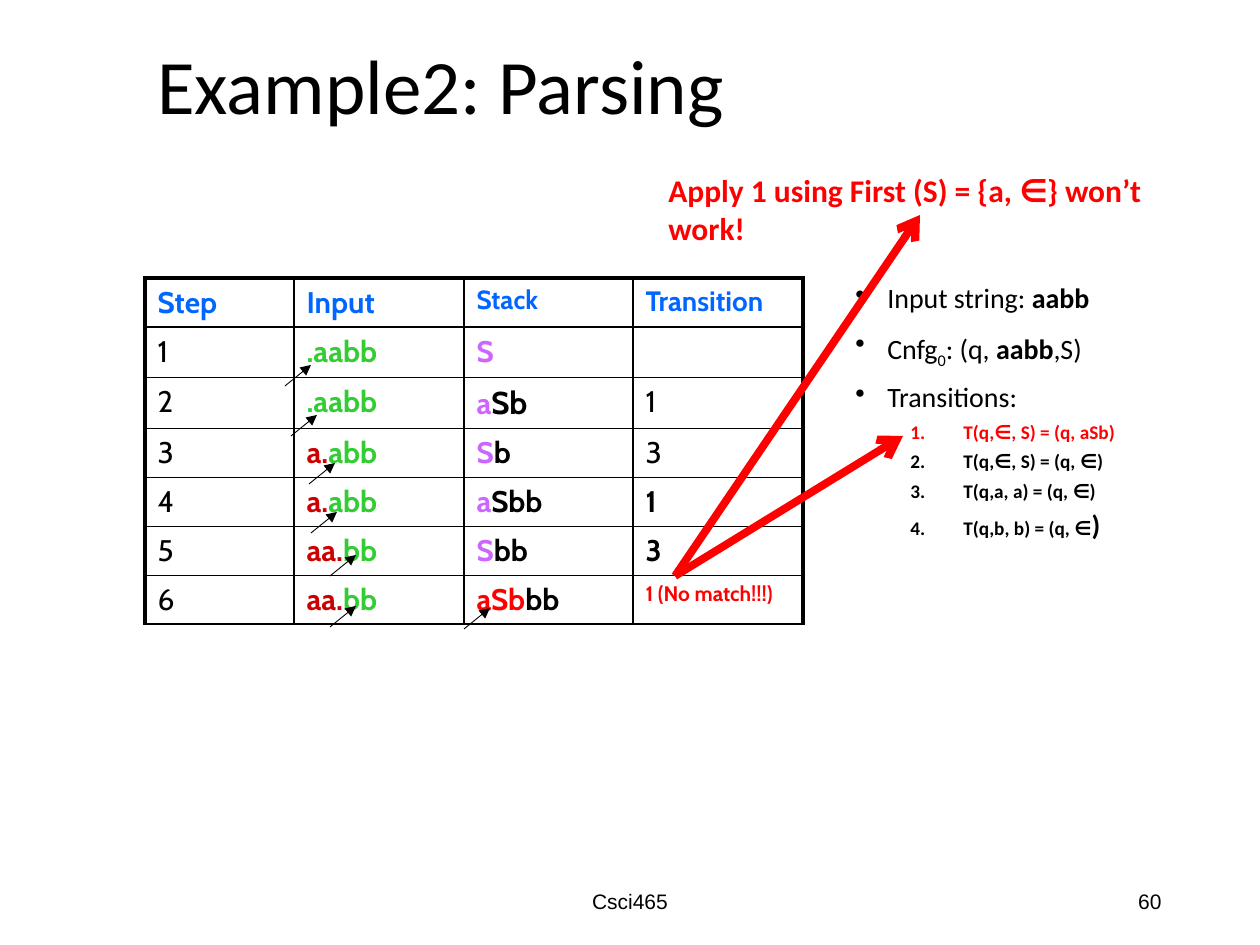
from lxml.etree import SubElement
from pptx import Presentation
from pptx.dml.color import RGBColor
from pptx.enum.shapes import MSO_CONNECTOR as CONNECTOR
from pptx.enum.text import MSO_ANCHOR as ANCHOR, PP_ALIGN as ALIGN
from pptx.oxml.ns import qn
from pptx.util import Pt

EMU_PER_PX = 7257.6
BLACK, WHITE, RED = "000000", "FFFFFF", "FF0000"
BLUE, GREEN, PURPLE, CRIMSON = "0066FF", "33CC33", "CC66FF", "CC0000"

TITLE = "Example2: Parsing"
WARNING = "Apply 1 using First (S) = {a, ∈} won’t work!"
FOOTER, PAGE = "Csci465", "60"

# Each run is (text, size, colour, bold).
HEADINGS = [("Step", 17), ("Input", 17), ("Stack", 15), ("Transition", 16)]
STEPS = [
    ([(".aabb", GREEN)], [("S", PURPLE)], ("", 17, BLACK, False)),
    ([(".aabb", GREEN)], [("a", PURPLE), ("Sb", BLACK, 18)], ("1", 17, BLACK, False)),
    ([("a.", CRIMSON), ("abb", GREEN)], [("S", PURPLE), ("b", BLACK)], ("3", 17, BLACK, False)),
    ([("a.", CRIMSON), ("abb", GREEN)], [("a", PURPLE), ("Sbb", BLACK)], ("1", 17, BLACK, True)),
    ([("aa.", CRIMSON), ("bb", GREEN)], [("S", PURPLE), ("bb", BLACK)], ("3", 17, BLACK, True)),
    ([("aa.", CRIMSON), ("bb", GREEN)], [("aSb", RED), ("bb", BLACK)],
     ("1 (No match!!!)", 12, RED, True)),
]
COLUMN_WIDTHS = [149, 170, 169, 170]
ROW_HEIGHTS = [49, 49, 51, 49, 49, 49, 49]

BULLETS = [
    [("Input string: ", False), ("aabb", True)],
    [("Cnfg", False), ("0", False), (": (q, ", False), ("aabb", True), (",S)", False)],
    [("Transitions:", False)],
]
SUBSCRIPT = "0"
TRANSITIONS = [
    [("T(q,∈, S) = (q, aSb)", 11, RED, True)],
    [("T(q,∈, S) = (q, ∈)", 11, BLACK, True)],
    [("T(q,a, a) = (q, ∈)", 11, BLACK, True)],
    [("T(q,b, b) = (q, ∈", 11, BLACK, True), (")", 16, BLACK, True)],
]

POINTER_STARTS = [(285, 386), (311, 533), (309, 484), (330, 576),
                  (330, 627), (291, 436), (464, 629)]
POINTER_STEP = (26, -21)
MISMATCH = (675, 576)
MISMATCH_TARGETS = [(920, 215), (903, 436)]


def px(length):
    return round(length * EMU_PER_PX)


def color(value):
    return RGBColor.from_string(value)


def add_runs(paragraph, runs, font):
    for text, size, shade, bold in runs:
        run = paragraph.add_run()
        run.text = text
        run.font.name = font
        run.font.size = Pt(size)
        run.font.bold = bold
        run.font.color.rgb = color(shade)


def add_text(slide, box, runs, font="Calibri", anchor=ANCHOR.TOP, align=ALIGN.LEFT):
    frame = slide.shapes.add_textbox(*map(px, box)).text_frame
    frame.word_wrap = True
    frame.vertical_anchor = anchor
    paragraph = frame.paragraphs[0]
    paragraph.alignment = align
    add_runs(paragraph, runs, font)
    return frame


def add_list_item(frame, runs, first, margin, indent, space, tag, attributes):
    paragraph = frame.paragraphs[0] if first else frame.add_paragraph()
    properties = paragraph._p.get_or_add_pPr()
    properties.set("marL", str(px(margin)))
    properties.set("indent", str(px(-indent)))
    SubElement(properties, qn(tag), attributes)
    paragraph.line_spacing = 0.9
    paragraph.space_before = Pt(0 if first else space)
    add_runs(paragraph, runs, "Calibri")
    return paragraph


def add_notes_list(slide):
    frame = slide.shapes.add_textbox(*map(px, (843, 278, 417, 350))).text_frame
    frame.word_wrap = True
    for index, parts in enumerate(BULLETS):
        runs = [(text, 16, BLACK, bold) for text, bold in parts]
        paragraph = add_list_item(frame, runs, index == 0, 32, 32, 10, "a:buChar", {"char": "•"})
        for run in paragraph.runs:
            if run.text == SUBSCRIPT:
                run._r.get_or_add_rPr().set("baseline", "-25000")
    for runs in TRANSITIONS:
        paragraph = add_list_item(frame, runs, False, 108, 53, 5,
                                  "a:buAutoNum", {"type": "arabicPeriod"})
        paragraph.level = 1


def set_border(cell, side, width):
    line = SubElement(cell._tc.get_or_add_tcPr(), qn(f"a:ln{side}"), w=str(Pt(width)))
    fill = SubElement(line, qn("a:solidFill"))
    SubElement(fill, qn("a:srgbClr"), val=BLACK)


def add_parse_table(slide):
    rows = [[[(text, size, BLUE, True)] for text, size in HEADINGS]]
    for number, (source, stack, transition) in enumerate(STEPS, 1):
        colored = [[(text, *(size or [17]), shade, True) for text, shade, *size in runs]
                   for runs in (source, stack)]
        rows.append([[(str(number), 17, BLACK, False)], *colored, [transition]])
    box = (145, 278, sum(COLUMN_WIDTHS), sum(ROW_HEIGHTS))
    table = slide.shapes.add_table(len(rows), len(HEADINGS), *map(px, box)).table
    for column, width in zip(table.columns, COLUMN_WIDTHS):
        column.width = px(width)
    last = len(HEADINGS) - 1
    for r, (cells, height) in enumerate(zip(rows, ROW_HEIGHTS)):
        table.rows[r].height = px(height)
        for c, runs in enumerate(cells):
            cell = table.cell(r, c)
            for side, outer in (("L", c == 0), ("R", c == last), ("T", r == 0), ("B", False)):
                set_border(cell, side, 2.25 if outer else 1)
            cell.fill.solid()
            cell.fill.fore_color.rgb = color(WHITE)
            add_runs(cell.text_frame.paragraphs[0], runs, "Cabin")


def add_arrow(slide, start, end, shade, width, head):
    connector = slide.shapes.add_connector(CONNECTOR.STRAIGHT, *map(px, (*start, *end)))
    connector.line.color.rgb = color(shade)
    connector.line.width = Pt(width)
    SubElement(connector.line._get_or_add_ln(), qn("a:tailEnd"), type=head)
    SubElement(connector._element.spPr, qn("a:effectLst"))


def main():
    presentation = Presentation()
    presentation.slide_width, presentation.slide_height = px(1260), px(945)
    slide = presentation.slides.add_slide(presentation.slide_layouts[6])

    add_text(slide, (417, 876, 426, 50), [(FOOTER, 12, BLACK, False)],
             "Arial", ANCHOR.MIDDLE, ALIGN.CENTER)
    add_text(slide, (890, 876, 284, 50), [(PAGE, 12, BLACK, False)],
             "Arial", ANCHOR.MIDDLE, ALIGN.RIGHT)
    title = add_text(slide, (145, -11, 1074, 202), [(TITLE, 44, BLACK, False)],
                     anchor=ANCHOR.MIDDLE)
    title.paragraphs[0].line_spacing = 0.9
    add_notes_list(slide)
    add_parse_table(slide)
    add_text(slide, (656, 165, 577, 50), [(WARNING, 18, RED, True)])
    for x, y in POINTER_STARTS:
        end = (x + POINTER_STEP[0], y + POINTER_STEP[1])
        add_arrow(slide, (x, y), end, BLACK, 0.5, "triangle")
    for target in MISMATCH_TARGETS:
        add_arrow(slide, MISMATCH, target, RED, 4.5, "arrow")
    presentation.save("out.pptx")


if __name__ == "__main__":
    main()
